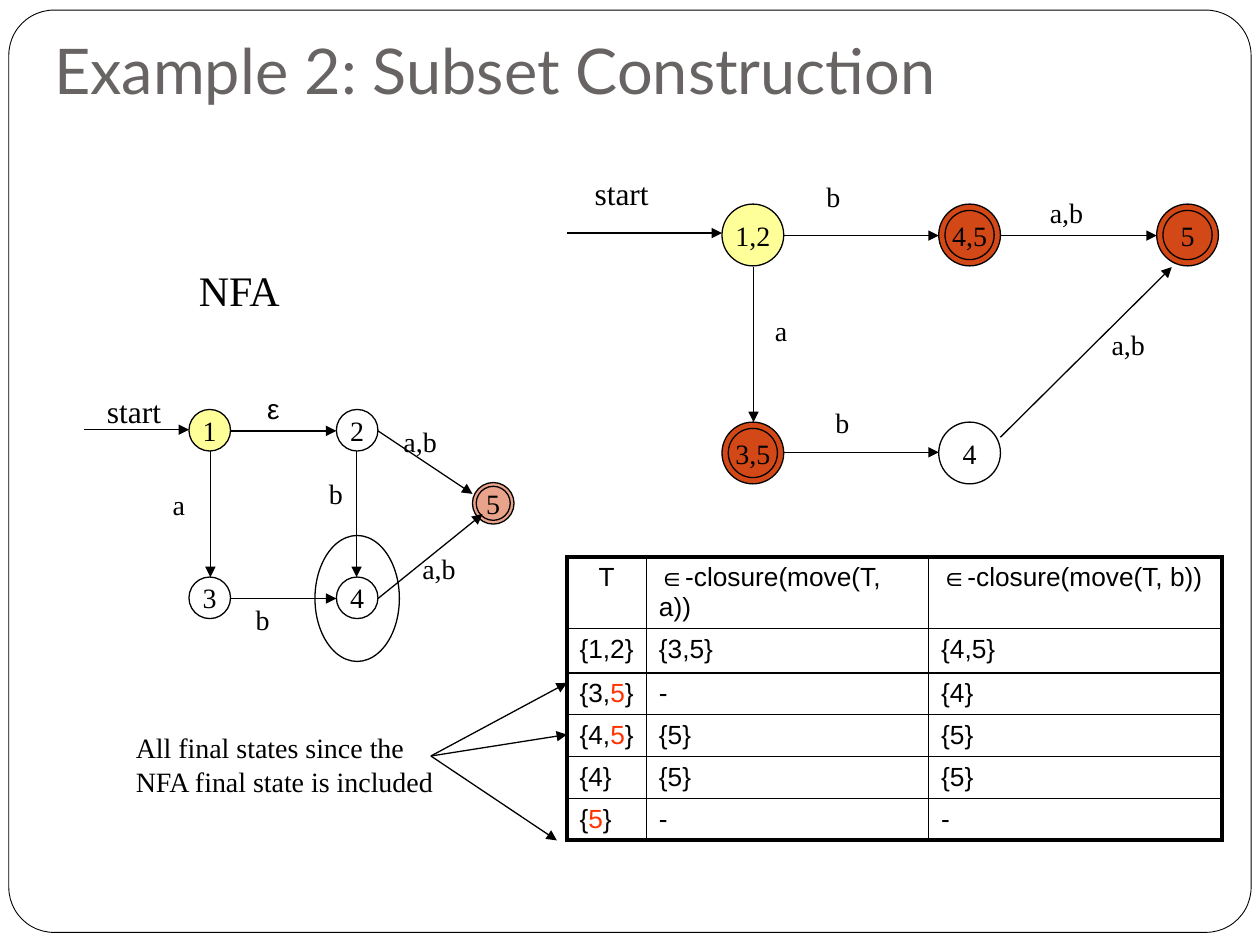
from lxml import etree
from pptx import Presentation
from pptx.dml.color import RGBColor
from pptx.enum.shapes import MSO_CONNECTOR, MSO_SHAPE
from pptx.enum.text import MSO_ANCHOR, PP_ALIGN
from pptx.oxml import parse_xml
from pptx.oxml.ns import nsdecls, qn
from pptx.util import Inches, Pt

BLACK = RGBColor(0x00, 0x00, 0x00)
WHITE = RGBColor(0xFF, 0xFF, 0xFF)
GREY = RGBColor(0x69, 0x64, 0x64)
YELLOW = RGBColor(0xFF, 0xFF, 0x99)
ORANGE = RGBColor(0xD3, 0x48, 0x17)
RED = RGBColor(0xFF, 0x33, 0x00)
SERIF = "Times New Roman"


def add_outline(preset, left, top, width, height, fill=None, weight=0.75):
    shape = slide.shapes.add_shape(
        preset, Inches(left), Inches(top), Inches(width), Inches(height))
    shape.shadow.inherit = False
    shape.line.color.rgb = BLACK
    shape.line.width = Pt(weight)
    if fill is None:
        shape.fill.background()
    else:
        shape.fill.solid()
        shape.fill.fore_color.rgb = fill
    return shape


def write_text(frame, text, size=16, font=SERIF, align=PP_ALIGN.CENTER):
    frame.text = text
    frame.word_wrap = False
    for paragraph in frame.paragraphs:
        paragraph.alignment = align
        for run in paragraph.runs:
            run.font.size = Pt(size)
            run.font.name = font
            run.font.color.rgb = BLACK


prs = Presentation()
prs.slide_width, prs.slide_height = Inches(10), Inches(7.5)
slide = prs.slides.add_slide(prs.slide_layouts[5])

# Rounded frame behind everything
frame = add_outline(MSO_SHAPE.ROUNDED_RECTANGLE, 0.07, 0.08, 9.86, 7.32, WHITE, 0.5)
frame.adjustments[0] = 0.049
slide.shapes._spTree.insert(2, frame._element)

# Title
title = slide.shapes.title
title.left, title.top = Inches(0.33), Inches(0.25)
title.width, title.height = Inches(9.4), Inches(0.7)
write_text(title.text_frame, "Example 2: Subset Construction", 36, "Lato", PP_ALIGN.LEFT)
title.text_frame.word_wrap = True
title.text_frame.vertical_anchor = MSO_ANCHOR.BOTTOM
title.text_frame.margin_bottom = Inches(0.1)
title.text_frame.paragraphs[0].runs[0].font.color.rgb = GREY

# Subset table
transitions = [
    ["T", "∈-closure(move(T, a))", "∈-closure(move(T, b))"],
    ["{1,2}", "{3,5}", "{4,5}"],
    ["{3,5}", "-", "{4}"],
    ["{4,5}", "{5}", "{5}"],
    ["{4}", "{5}", "{5}"],
    ["{5}", "-", "-"],
]
row_heights = [0.57, 0.35, 0.33, 0.33, 0.33, 0.33]
column_widths = [0.63, 2.24, 2.33]
subsets = slide.shapes.add_table(
    len(row_heights), len(column_widths), Inches(4.5), Inches(4.42),
    Inches(sum(column_widths)), Inches(sum(row_heights))).table
subsets.first_row = subsets.horz_banding = False
for column, width in zip(subsets.columns, column_widths):
    column.width = Inches(width)
for r, height in enumerate(row_heights):
    subsets.rows[r].height = Inches(height)
    for c, content in enumerate(transitions[r]):
        cell = subsets.cell(r, c)
        paragraph = cell.text_frame.paragraphs[0]
        paragraph.space_before = Pt(3)
        paragraph.alignment = PP_ALIGN.CENTER if r == c == 0 else PP_ALIGN.LEFT
        # The NFA final state is red in the rows of new final states
        final = c == 0 and r > 1
        for part in content.partition("5") if final else [content]:
            if part:
                run = paragraph.add_run()
                run.text = part
                run.font.size = Pt(15)
                run.font.name = "Arial"
                run.font.color.rgb = RED if final and part == "5" else BLACK
        # Heavy outer edges, thin inner ones
        edges = {"lnL": c == 0, "lnR": c == len(column_widths) - 1,
                 "lnT": r == 0, "lnB": r == len(row_heights) - 1}
        for tag, outer in edges.items():
            cell._tc.get_or_add_tcPr().append(parse_xml(
                f'<a:{tag} {nsdecls("a")} w="{Pt(2.25 if outer else 1)}">'
                f'<a:solidFill><a:srgbClr val="{BLACK}"/></a:solidFill></a:{tag}>'))
        cell.fill.background()

# States: text, left, top, diameter, fill
NFA_SIZE, DFA_SIZE = 0.33, 0.49
states = [
    ("1", 1.5, 3.25, NFA_SIZE, YELLOW),
    ("2", 2.67, 3.25, NFA_SIZE, WHITE),
    ("3", 1.5, 4.58, NFA_SIZE, WHITE),
    ("4", 2.67, 4.58, NFA_SIZE, WHITE),
    ("5", 3.75, 3.83, NFA_SIZE, ORANGE),
    ("1,2", 5.73, 1.62, DFA_SIZE, YELLOW),
    ("4,5", 7.45, 1.62, DFA_SIZE, ORANGE),
    ("5", 9.18, 1.62, DFA_SIZE, ORANGE),
    ("3,5", 5.73, 3.35, DFA_SIZE, ORANGE),
    ("4", 7.45, 3.35, DFA_SIZE, None),
]
for name, left, top, size, fill in states:
    state = add_outline(MSO_SHAPE.OVAL, left, top, size, size, fill)
    write_text(state.text_frame, name)
    state.text_frame.vertical_anchor = MSO_ANCHOR.MIDDLE
    if fill == ORANGE:
        # Inner ring of a final state
        inset = 0.03 if size == NFA_SIZE else 0.05
        ring = size - 2 * inset
        add_outline(MSO_SHAPE.OVAL, left + inset, top + inset, ring, ring)
        if size == NFA_SIZE:
            color = state.fill._xPr.find(qn("a:solidFill"))[0]
            etree.SubElement(color, qn("a:alpha"), val="50000")

# Ring around NFA state 4
add_outline(MSO_SHAPE.OVAL, 2.5, 4.25, 0.67, 1)

# Arrows: from x, y to x, y
arrows = [
    # NFA
    (0.67, 3.41, 1.5, 3.41), (1.83, 3.42, 2.67, 3.42), (2.83, 3.58, 2.83, 4.58),
    (1.67, 3.58, 1.67, 4.58), (1.83, 4.75, 2.67, 4.75), (3, 4.75, 3.83, 4.08),
    (3, 3.42, 3.75, 3.92),
    # DFA
    (4.5, 1.85, 5.73, 1.85), (6.22, 1.87, 7.45, 1.87), (7.94, 1.87, 9.18, 1.87),
    (5.98, 2.12, 5.98, 3.35), (6.22, 3.59, 7.45, 3.59), (7.94, 3.47, 9.3, 2.12),
    # Remark to table rows
    (3.42, 6, 4.5, 5.42), (3.42, 6, 4.5, 5.83), (3.42, 6, 4.42, 6.67),
]
for ends in arrows:
    arrow = slide.shapes.add_connector(
        MSO_CONNECTOR.STRAIGHT, *[Inches(value) for value in ends])
    arrow.line.color.rgb = BLACK
    arrow.line.width = Pt(0.75)
    etree.SubElement(arrow.line._get_or_add_ln(), qn("a:tailEnd"), type="triangle")
    etree.SubElement(arrow._element.spPr, qn("a:effectLst"))

# Labels: text, left, top, width, height, size
remark = "All final states since the\nNFA final state is included"
labels = [
    ("ε", 2.02, 3.06, 0.3, 0.37, 16),
    ("b", 1.93, 4.73, 0.31, 0.37, 16),
    ("a", 1.27, 3.82, 0.3, 0.37, 16),
    ("b", 2.51, 3.73, 0.31, 0.37, 16),
    ("a,b", 3.1, 3.32, 0.47, 0.37, 16),
    ("a,b", 3.25, 4.33, 0.47, 0.37, 16),
    ("a,b", 8.23, 1.5, 0.47, 0.37, 16),
    ("a,b", 8.72, 2.55, 0.47, 0.37, 16),
    ("b", 6.46, 1.38, 0.31, 0.37, 16),
    ("a", 6.05, 2.44, 0.3, 0.37, 16),
    ("b", 6.53, 3.17, 0.31, 0.37, 16),
    ("start", 0.75, 3.06, 0.69, 0.4, 18),
    ("start", 4.62, 1.33, 0.69, 0.4, 18),
    ("NFA", 1.48, 2.05, 0.87, 0.5, 24),
    (remark, 0.98, 5.75, 2.6, 0.64, 16),
]
for text, left, top, width, height, size in labels:
    label = slide.shapes.add_textbox(
        Inches(left), Inches(top), Inches(width), Inches(height))
    symbol = size == 16 and text != remark
    write_text(label.text_frame, text, size, "Arial" if text == "ε" else SERIF,
               PP_ALIGN.CENTER if symbol else PP_ALIGN.LEFT)

prs.save("out.pptx")
